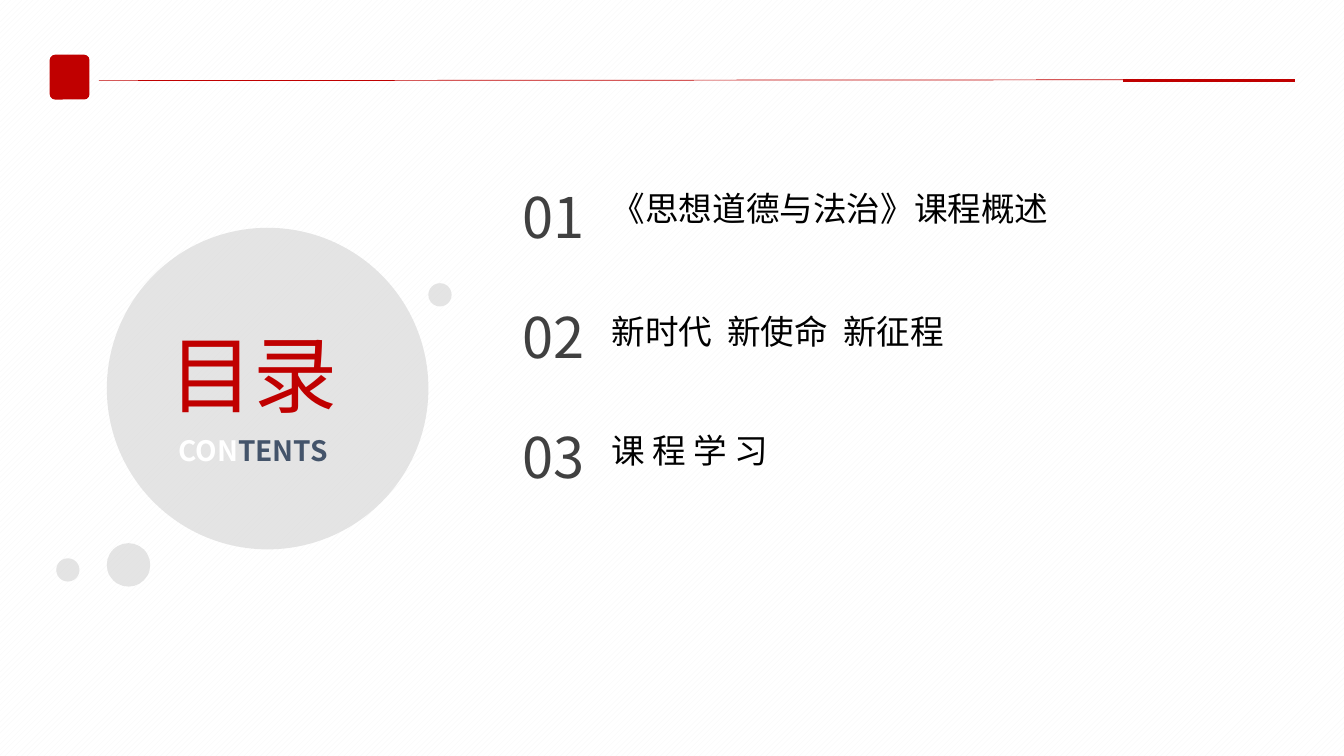
from lxml import etree
from pptx import Presentation
from pptx.dml.color import RGBColor
from pptx.enum import dml, shapes, text
from pptx.oxml.ns import qn
from pptx.util import Pt

RED = RGBColor(0xC0, 0x00, 0x00)
GREY = RGBColor(0xD9, 0xD9, 0xD9)
DARK = RGBColor(0x40, 0x40, 0x40)
SLATE = RGBColor(0x44, 0x54, 0x6A)
PALE = RGBColor(0xF6, 0xF6, 0xF6)
WHITE = RGBColor(0xFF, 0xFF, 0xFF)
BLACK = RGBColor(0x00, 0x00, 0x00)
CJK = "Noto Sans CJK SC"

prs = Presentation()
prs.slide_width, prs.slide_height = Pt(960), Pt(540)
s = prs.slides.add_slide(prs.slide_layouts[6])

bg = s.background.fill
bg.patterned()
bg.pattern = dml.MSO_PATTERN.WIDE_UPWARD_DIAGONAL
bg.fore_color.rgb = PALE
bg.back_color.rgb = WHITE


def add_text(x, y, w, h, runs, size, font=CJK, bold=False, wrap=False, align=None):
    tf = s.shapes.add_textbox(Pt(x), Pt(y), Pt(w), Pt(h)).text_frame
    tf.word_wrap = wrap
    tf.auto_size = text.MSO_AUTO_SIZE.SHAPE_TO_FIT_TEXT
    p = tf.paragraphs[0]
    p.alignment = align
    p.font.size, p.font.name, p.font.bold = Pt(size), font, bold
    for words, color in runs:
        r = p.add_run()
        r.text = words
        r.font.color.rgb = color
        r.font.size, r.font.name, r.font.bold = Pt(size), font, bold
        etree.SubElement(r._r.get_or_add_rPr(), qn("a:ea")).set("typeface", CJK)


for x1, y1, x2, y2, width in [(70.6, 57.6, 919.4, 56.9, 0.5),
                              (802.1, 57.6, 925.2, 57.6, 2)]:
    rule = s.shapes.add_connector(shapes.MSO_CONNECTOR.STRAIGHT,
                                  Pt(x1), Pt(y1), Pt(x2), Pt(y2))
    rule.line.color.rgb = RED
    rule.line.width = Pt(width)
    etree.SubElement(rule._element.spPr, qn("a:effectLst"))

badge = s.shapes.add_shape(shapes.MSO_SHAPE.ROUNDED_RECTANGLE,
                           Pt(36), Pt(39.6), Pt(27.4), Pt(31))
badge.adjustments[0] = 0.12
badge.shadow.inherit = False
badge.fill.solid()
badge.fill.fore_color.rgb = RED
badge.line.color.rgb = RED
badge.line.width = Pt(1)

for x, y, d in [(76.3, 162.7, 229.7), (76.3, 388, 31),
                (40.2, 398.8, 16.6), (306, 202.3, 16.6)]:
    dot = s.shapes.add_shape(shapes.MSO_SHAPE.FLOWCHART_CONNECTOR,
                             Pt(x), Pt(y), Pt(d), Pt(d))
    dot.shadow.inherit = False
    dot.fill.solid()
    dot.fill.fore_color.rgb = GREY
    dot.line.fill.background()
    clr = dot._element.spPr.find(qn("a:solidFill"))[0]
    etree.SubElement(clr, qn("a:alpha")).set("val", "70000")

JUSTIFY = text.PP_ALIGN.JUSTIFY
add_text(113.8, 226.8, 141.8, 79.9, [("目录", RED)], 60, wrap=True, align=JUSTIFY)
add_text(120.2, 306, 141.8, 31.7, [("CON", WHITE), ("TENTS", SLATE)], 20,
         bold=True, wrap=True, align=JUSTIFY)

chapters = [("《思想道德与法治》课程概述", 131, 329.8),
            ("新时代  新使命  新征程", 218.2, 259.2),
            ("课 程 学 习", 303.8, 138.2)]
for i, (title, y, w) in enumerate(chapters):
    add_text(366.5, 126.7 + 85.7 * i, 61.9, 55.4, [(f"{i + 1:02d}", DARK)], 40)
    add_text(429.8, y, w, 36, [(title, BLACK)], 24, font="Arial")

prs.save("out.pptx")
